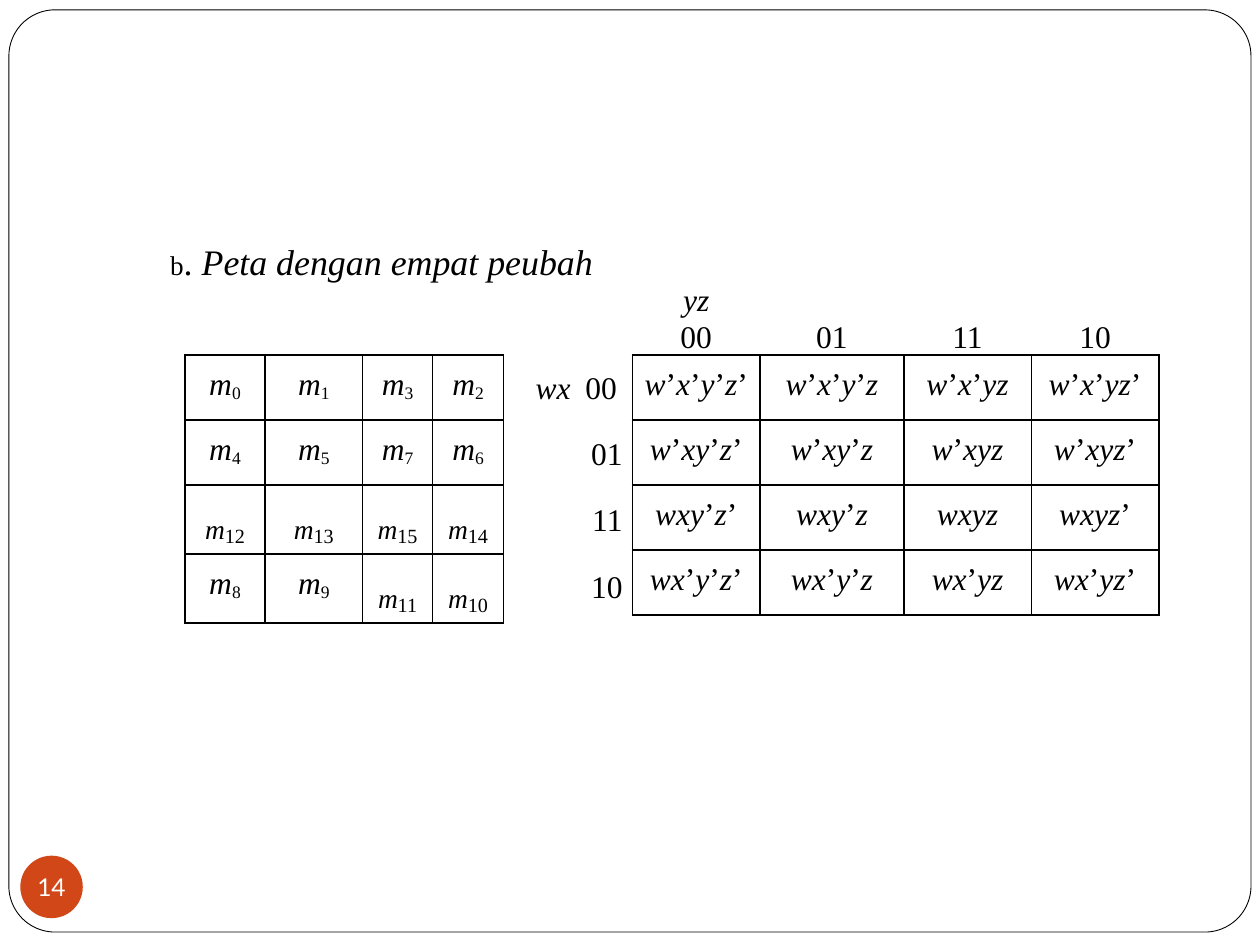
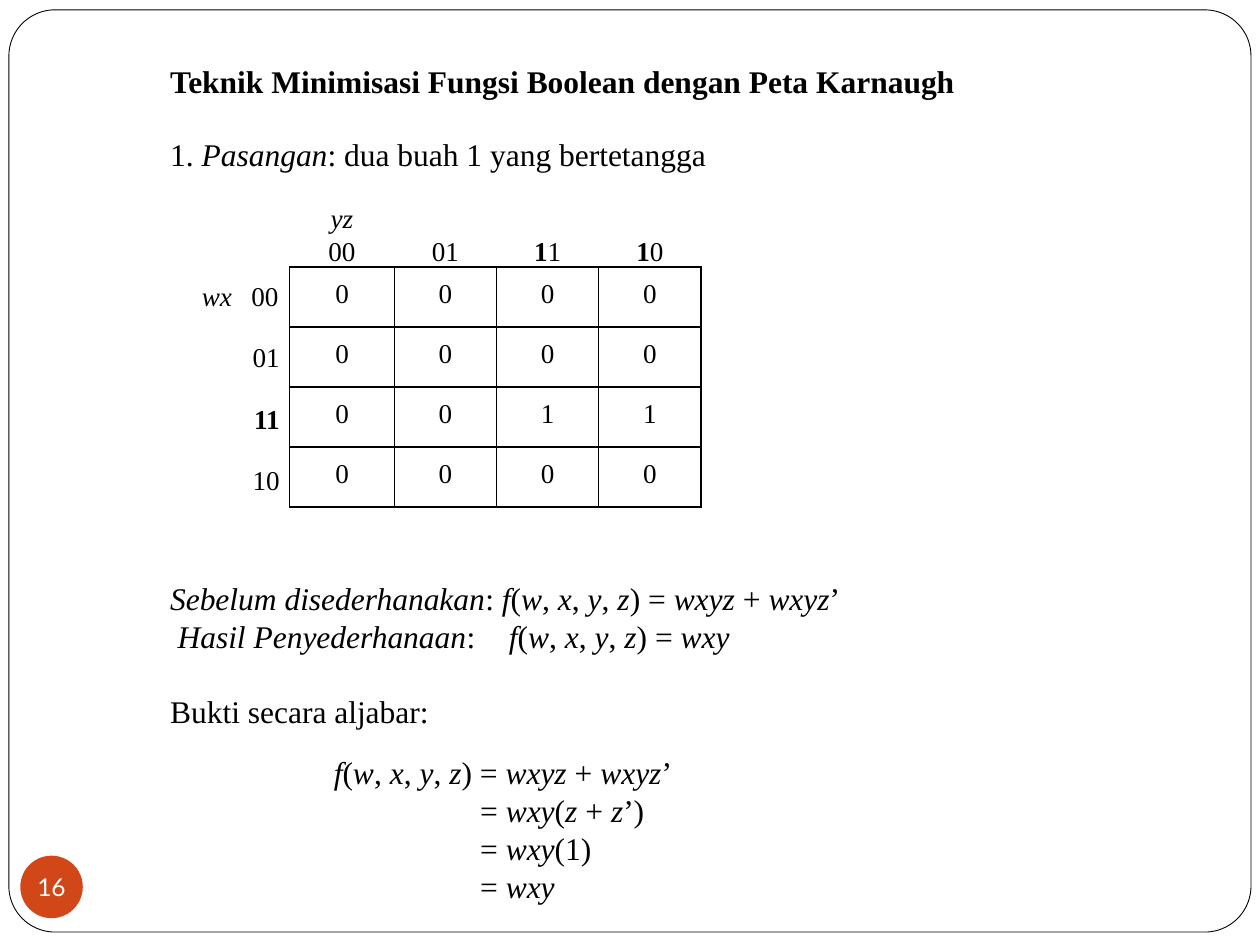
from lxml.etree import SubElement
from pptx import Presentation
from pptx.dml.color import RGBColor
from pptx.enum.shapes import MSO_SHAPE as Shape
from pptx.enum.text import MSO_ANCHOR as Anchor, MSO_AUTO_SIZE as AutoSize, PP_ALIGN as Align
from pptx.oxml.ns import qn
from pptx.util import Cm, Pt

COLORS = {"ink": "000000", "badge": "D24717", "paper": "FFFFFF"}
SERIF, SANS = "Times New Roman", "Lato"
TEXT_LEFT = 3.43
LINE_HEIGHT = 1.15
CM_TO_PT = 72 / 2.54

MINTERMS = {
    "left": 3.73, "top": 7.16, "columns": [1.61, 1.97, 1.41, 1.43], "row": 1.31,
    "rows": [[0, 1, 3, 2], [4, 5, 7, 6], [12, 13, 15, 14], [8, 9, 11, 10]],
}
WX_TERMS = ["w’x’", "w’x", "wx", "wx’"]
YZ_TERMS = ["y’z’", "y’z", "yz", "yz’"]
PRODUCTS = {
    "left": 12.75, "top": 7.16, "columns": [2.57, 2.9, 2.57, 2.57], "row": 1.31,
    "size": 18, "label_width": 1.75,
    "yz": ["00", "01", "11", "10"], "wx": ["00", "01", "11", "10"],
    "rows": [["*" + (wx + yz).replace("’", "*’*") + "*" for yz in YZ_TERMS]
             for wx in WX_TERMS],
}
PAIR = {
    "left": 5.84, "top": 5.38, "columns": [2.11, 2.06, 2.06, 2.06], "row": 1.21,
    "size": 15.5, "label_width": 1.57,
    "yz": ["00", "01", "#1#1", "#1#0"], "wx": ["00", "01", "#11#", "10"],
    "rows": ["0000", "0000", "0011", "0000"],
}
FUNCTION = "*f*(*w*, *x*, *y*, *z*)"
PAIR_RULE = "1. *Pasangan*: dua buah 1 yang bertetangga"
RESULTS = [
    f"*Sebelum disederhanakan*: {FUNCTION} = *wxyz* + *wxyz*’",
    f"*Hasil Penyederhanaan*:\t{FUNCTION} = *wxy*",
    "Bukti secara aljabar:",
]
PROOF = [
    f"{FUNCTION} = *wxyz* + *wxyz*’",
    "= *wxy*(*z* + *z*’)",
    "= *wxy*(1)",
    "= *wxy*",
]


def rgb(name):
    return RGBColor.from_string(COLORS[name])


def set_font(paragraph, size, face=SERIF, color="ink"):
    font = paragraph.font
    font.name, font.size, font.color.rgb = face, Pt(size), rgb(color)


def write(paragraph, marked, size, align=Align.LEFT):
    for i, slanted in enumerate(marked.split("*")):
        for j, piece in enumerate(slanted.split("#")):
            if piece:
                run = paragraph.add_run()
                run.text = piece
                if i % 2:
                    run.font.italic = True
                if j % 2:
                    run.font.bold = True
    paragraph.alignment = align
    set_font(paragraph, size)


def add_tab(paragraph, position):
    stops = SubElement(paragraph._p.get_or_add_pPr(), qn("a:tabLst"))
    SubElement(stops, qn("a:tab"), pos=str(Cm(position)), algn="l")


def set_indent(paragraph, indent):
    paragraph._p.get_or_add_pPr().set("marL", str(Cm(indent)))


def prepare_frame(frame, anchor=Anchor.TOP):
    frame.margin_left = frame.margin_right = frame.margin_top = frame.margin_bottom = 0
    frame.word_wrap = True
    frame.auto_size = AutoSize.NONE
    frame.vertical_anchor = anchor


def add_text(slide, box, lines, size, align=Align.LEFT, anchor=Anchor.TOP, tabs={}):
    frame = slide.shapes.add_textbox(*map(Cm, box)).text_frame
    prepare_frame(frame, anchor)
    for i, line in enumerate(lines):
        paragraph = frame.add_paragraph() if i else frame.paragraphs[0]
        if i in tabs:
            add_tab(paragraph, tabs[i])
        write(paragraph, line, size, Align.LEFT if i in tabs else align)
    return frame.paragraphs


def set_title(slide, marked, top, size):
    title = slide.shapes.title
    title.left, title.top, title.width, title.height = map(Cm, (TEXT_LEFT, top, 20, 0.95))
    prepare_frame(title.text_frame)
    paragraph = title.text_frame.paragraphs[0]
    write(paragraph, marked, size)
    return paragraph


def add_page_number(slide, number):
    badge = slide.shapes.add_shape(Shape.OVAL, Cm(0.41), Cm(17.25), Cm(1.26), Cm(1.26))
    badge.shadow.inherit = False
    badge.fill.solid()
    badge.fill.fore_color.rgb = rgb("badge")
    badge.line.fill.background()
    prepare_frame(badge.text_frame, Anchor.MIDDLE)
    paragraph = badge.text_frame.paragraphs[0]
    paragraph.text = str(number)
    paragraph.alignment = Align.CENTER
    set_font(paragraph, 14, SANS, "paper")


def add_page_border(slide, layout):
    border = slide.shapes.add_shape(Shape.ROUNDED_RECTANGLE,
                                    Cm(0.18), Cm(0.2), Cm(25.04), Cm(18.59))
    border.adjustments[0] = 0.05
    border.shadow.inherit = False
    border.fill.background()
    border.line.color.rgb = rgb("ink")
    border.line.width = Pt(0.5)
    layout.shapes._spTree.append(border._element)


def add_cell_borders(cell):
    properties = cell._tc.get_or_add_tcPr()
    for place, side in enumerate(("lnL", "lnR", "lnT", "lnB")):
        line = SubElement(properties, qn(f"a:{side}"), w=str(Pt(1)))
        fill = SubElement(line, qn("a:solidFill"))
        SubElement(fill, qn("a:srgbClr"), val=COLORS["ink"])
        properties.insert(place, line)


def add_grid(slide, grid, fill_cell):
    rows, columns = grid["rows"], grid["columns"]
    table = slide.shapes.add_table(
        len(rows), len(columns), Cm(grid["left"]), Cm(grid["top"]),
        Cm(sum(columns)), Cm(grid["row"] * len(rows))).table
    table.first_row = table.horz_banding = False
    for column, width in zip(table.columns, columns):
        column.width = Cm(width)
    for r, row in enumerate(rows):
        table.rows[r].height = Cm(grid["row"])
        for c, value in enumerate(row):
            cell = table.cell(r, c)
            cell.margin_left = cell.margin_right = cell.margin_bottom = 0
            cell.margin_top = Cm(0.25)
            cell.fill.background()
            add_cell_borders(cell)
            fill_cell(cell, value)


def fill_minterm(cell, number):
    paragraph = cell.text_frame.paragraphs[0]
    write(paragraph, f"*m*{number}", 18, Align.CENTER)
    letter, index = paragraph.runs
    if number < 10:
        index.font.size = Pt(17.2)
        index.font._element.set("baseline", "-12000")
    else:
        cell.margin_top = Cm(0.33)
        letter.font.size, index.font.size = Pt(27), Pt(11.5)
        letter.font._element.set("baseline", "8000")


def add_karnaugh_map(slide, kmap):
    size, left, top = kmap["size"], kmap["left"], kmap["top"]
    add_grid(slide, kmap, lambda cell, value: write(
        cell.text_frame.paragraphs[0], value, size, Align.CENTER))
    for c, code in enumerate(kmap["yz"]):
        lines = [code] if c else ["*yz*", code]
        height = round(len(lines) * size * LINE_HEIGHT / CM_TO_PT, 2)
        column_left = left + sum(kmap["columns"][:c])
        add_text(slide, (column_left, top - height, kmap["columns"][c], height),
                 lines, size, Align.CENTER, Anchor.BOTTOM)
    first, *others = kmap["wx"]
    width = kmap["label_width"]
    labels = add_text(slide, (left - 0.2 - width, top + 0.25, width, 4 * kmap["row"]),
                      [f"*wx*\t{first}", *others], size, Align.RIGHT, tabs={0: 1})
    for label in labels[1:]:
        label.space_before = Pt(round(kmap["row"] * CM_TO_PT - size * LINE_HEIGHT, 1))


def build_four_variable_slide(slide):
    title = set_title(slide, "b. *Peta dengan empat peubah*", 4.83, 20.5)
    letter, name = title.runs
    letter.text = "b"
    letter.font.size = Pt(15.5)
    dot = title.add_run()
    dot.text = ". "
    name._r.addprevious(dot._r)
    add_grid(slide, MINTERMS, fill_minterm)
    add_karnaugh_map(slide, PRODUCTS)


def build_pair_slide(slide):
    set_title(slide, "#Teknik Minimisasi Fungsi Boolean dengan Peta Karnaugh#", 1.24, 18)
    add_text(slide, (TEXT_LEFT, 2.72, 14, 0.84), [PAIR_RULE], 18)
    add_karnaugh_map(slide, PAIR)
    _, simplified, proof_heading = add_text(
        slide, (TEXT_LEFT, 11.68, 16, 3), RESULTS, 18, tabs={1: 6.68})
    set_indent(simplified, 0.15)
    proof_heading.space_before = Pt(21)
    for step in add_text(slide, (6.73, 15.19, 9, 3), PROOF, 18)[1:]:
        set_indent(step, 2.95)


def main():
    deck = Presentation()
    deck.slide_width, deck.slide_height = Cm(25.4), Cm(19.05)
    layout = deck.slide_layouts[5]
    pages = {14: build_four_variable_slide, 16: build_pair_slide}
    for number, build in pages.items():
        slide = deck.slides.add_slide(layout)
        if len(deck.slides) == 1:
            add_page_border(slide, layout)
        build(slide)
        add_page_number(slide, number)
    deck.save("out.pptx")


if __name__ == "__main__":
    main()
